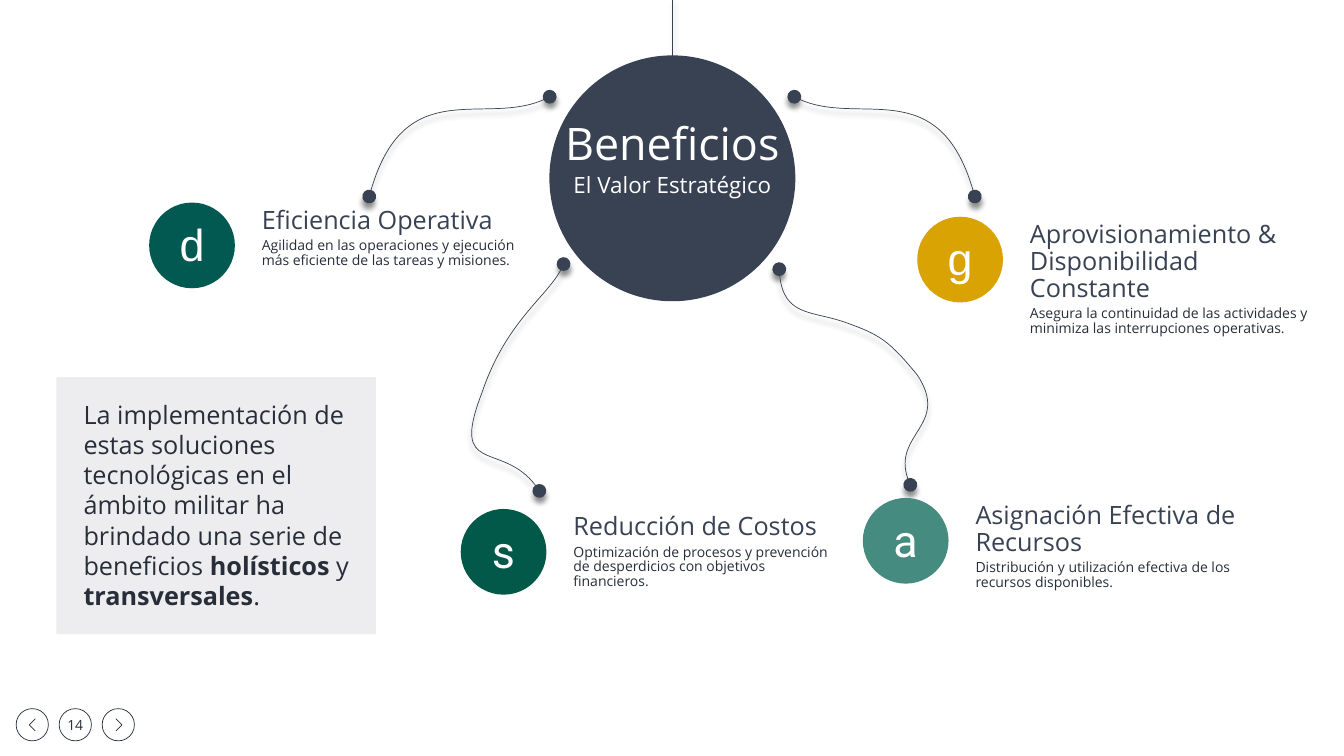
"""Slide on the strategic benefits: a hub circle, four curved links and four benefit cards."""
from lxml.etree import SubElement
from pptx import Presentation
from pptx.dml.color import RGBColor
from pptx.enum.shapes import MSO_CONNECTOR, MSO_SHAPE
from pptx.enum.text import MSO_ANCHOR, PP_ALIGN
from pptx.oxml.ns import qn
from pptx.util import Inches, Pt

COLORS = {"navy": "384253", "ink": "272E3A", "white": "FFFFFF", "black": "000000",
          "teal": "025951", "green": "025949", "sage": "458B7F", "gold": "D9A304"}
FONT = "Open Sans"

HUB = (40.88, 7.33, 18.3)
HUB_TEXT = ("Beneficios", "El Valor Estratégico")
STEM = (50, 27.47)
INTRO = [("La implementación de estas soluciones tecnológicas en el ámbito militar "
          "ha brindado una serie de beneficios ", False),
         ("holísticos", True), (" y ", False), ("transversales", True), (".", False)]
CARDS = [
    (11.1, 26.8, 21.3, "d", "Arial", "teal", "Eficiencia Operativa",
     "Agilidad en las operaciones y ejecución más eficiente de las tareas y misiones."),
    (34.28, 67.33, 21.3, "s", "Roboto", "green", "Reducción de Costos",
     "Optimización de procesos y prevención de desperdicios con objetivos financieros."),
    (64.2, 65.87, 21.3, "a", "Roboto", "sage", "Asignación Efectiva de Recursos",
     "Distribución y utilización efectiva de los recursos disponibles."),
    (68.25, 28.67, 23.25, "g", "Arial", "gold", "Aprovisionamiento & Disponibilidad Constante",
     "Asegura la continuidad de las actividades y minimiza las interrupciones operativas."),
]
BADGE, CARD_GAP, CARD_HEIGHT = 6.38, 7.65, 9.47
UPPER_LINK = [(72.53, 26), (70.05, 9.33), (63.6, 17.2), (59.1, 12.8)]
LINKS = [
    UPPER_LINK,
    [(100 - x, y) for x, y in UPPER_LINK],
    [(40.13, 64.93), (37.58, 57.87), (33.45, 63.07), (35.85, 52),
     (37.65, 42.53), (41.03, 38.93), (41.93, 34.93)],
    [(67.73, 64.13), (66, 57.47), (70.73, 56.27), (68.25, 49.6), (66.15, 45.07),
     (65.48, 44.27), (62.93, 42.67), (60.45, 41.07), (58.13, 42), (57.98, 35.6)],
]
PAGER = ("", "14", "")
PAGER_LEFT, PAGER_TOP, PAGER_STEP, PAGER_SIZE = 1.2, 93.73, 3.2, 2.4
CHEVRONS = [(2.63, 2.18), (8.63, 9.08)]
CHEVRON_ROW, CHEVRON_RISE = 95.87, 0.8

prs = Presentation()
prs.slide_width, prs.slide_height = Inches(13.33), Inches(7.5)
slide = prs.slides.add_slide(prs.slide_layouts[6])


def across(share):
    return round(prs.slide_width * share / 100)


def down(share):
    return round(prs.slide_height * share / 100)


def rgb(name):
    return RGBColor.from_string(COLORS[name])


def write(tf, runs, size=10, color="ink", font=FONT, align=PP_ALIGN.LEFT,
          spacing=None, after=0, new=False):
    p = tf.add_paragraph() if new else tf.paragraphs[0]
    p.alignment, p.line_spacing, p.space_after = align, spacing, Pt(after)
    for text, bold in [(runs, False)] if isinstance(runs, str) else runs:
        r = p.add_run()
        r.text = text
        r.font.size, r.font.name, r.font.bold = Pt(size), font, bold
        r.font.color.rgb = rgb(color)


def text_box(x, y, w, h):
    tf = slide.shapes.add_textbox(across(x), down(y), across(w), down(h)).text_frame
    tf.word_wrap = True
    return tf


def style(sp, fill=None, line=None):
    sp.shadow.inherit = False
    if fill:
        sp.fill.solid()
        sp.fill.fore_color.rgb = rgb(fill)
    else:
        sp.fill.background()
    if line:
        sp.line.color.rgb, sp.line.width = rgb(line), Pt(0.5)
    else:
        sp.line.fill.background()
    return sp


def circle(x, y, size, **look):
    return style(slide.shapes.add_shape(MSO_SHAPE.OVAL, across(x), down(y),
                                        across(size), across(size)), **look)


def outline(points, color):
    dots = [(across(x), down(y)) for x, y in points]
    fb = slide.shapes.build_freeform(*dots[0])
    fb.add_line_segments(dots[1:], close=False)
    return style(fb.convert_to_shape(), line=color)


def set_alpha(color_element, percent):
    SubElement(color_element, qn("a:alpha"), val=str(percent * 1000))


def cast_shadow(sp, alpha, distance, angle):
    spPr = sp._element.spPr
    effects = spPr.find(qn("a:effectLst"))
    if effects is None:
        effects = SubElement(spPr, qn("a:effectLst"))
    shadow = SubElement(effects, qn("a:outerShdw"), blurRad=str(Pt(4)),
                        dist=str(Pt(distance)), dir=str(angle * 60000),
                        algn="t", rotWithShape="0")
    set_alpha(SubElement(shadow, qn("a:srgbClr"), val=COLORS["black"]), alpha)


def link(points):
    sp = outline(points, "navy")
    spPr = sp._element.spPr
    trace = next(spPr.iter(qn("a:path")))
    steps = trace.findall(qn("a:lnTo"))
    for i in range(0, len(steps), 3):
        curve = SubElement(trace, qn("a:cubicBezTo"))
        for step in steps[i:i + 3]:
            curve.append(step[0])
            trace.remove(step)
    ln = spPr.find(qn("a:ln"))
    for end in ("a:headEnd", "a:tailEnd"):
        SubElement(ln, qn(end), type="oval", w="lg", len="lg")
    cast_shadow(sp, 43, 4, 90)


def card(x, y, width, letter, font, color, title, detail):
    tf = circle(x, y, BADGE, fill=color).text_frame
    tf.vertical_anchor = MSO_ANCHOR.BOTTOM
    write(tf, letter, size=32, color="white", font=font, align=PP_ALIGN.CENTER)
    tf = text_box(x + CARD_GAP, y, width, CARD_HEIGHT)
    write(tf, title, size=18, color="navy", spacing=0.89, after=3)
    write(tf, detail, spacing=0.89, new=True)


for i, label in enumerate(PAGER):
    sp = circle(PAGER_LEFT + i * PAGER_STEP, PAGER_TOP, PAGER_SIZE, line="ink")
    if label:
        sp.text_frame.word_wrap = False
        sp.text_frame.vertical_anchor = MSO_ANCHOR.MIDDLE
        write(sp.text_frame, label, align=PP_ALIGN.CENTER)
for base, tip in CHEVRONS:
    outline([(base, CHEVRON_ROW - CHEVRON_RISE), (tip, CHEVRON_ROW),
             (base, CHEVRON_ROW + CHEVRON_RISE)], "ink")

stem = slide.shapes.add_connector(MSO_CONNECTOR.STRAIGHT, across(STEM[0]), 0,
                                  across(STEM[0]), down(STEM[1]))
stem.line.color.rgb, stem.line.width = rgb("navy"), Pt(0.5)
cast_shadow(stem, 40, 3, 45)

circle(*HUB, fill="navy")
for points in LINKS:
    link(points)
for benefit in CARDS:
    card(*benefit)

tf = text_box(40.73, 15.47, 18.6, 14.4)
hub_look = {"color": "white", "align": PP_ALIGN.CENTER, "spacing": 0.9}
write(tf, HUB_TEXT[0], size=32, after=3, **hub_look)
write(tf, HUB_TEXT[1], size=16, new=True, **hub_look)

panel = style(slide.shapes.add_shape(MSO_SHAPE.RECTANGLE, across(4.2), down(49.87),
                                     across(23.78), down(34)), fill="navy")
set_alpha(next(panel._element.spPr.iter(qn("a:srgbClr"))), 9)
write(text_box(5.48, 52.13, 21.45, 29.6), INTRO, size=18)

prs.save("out.pptx")
